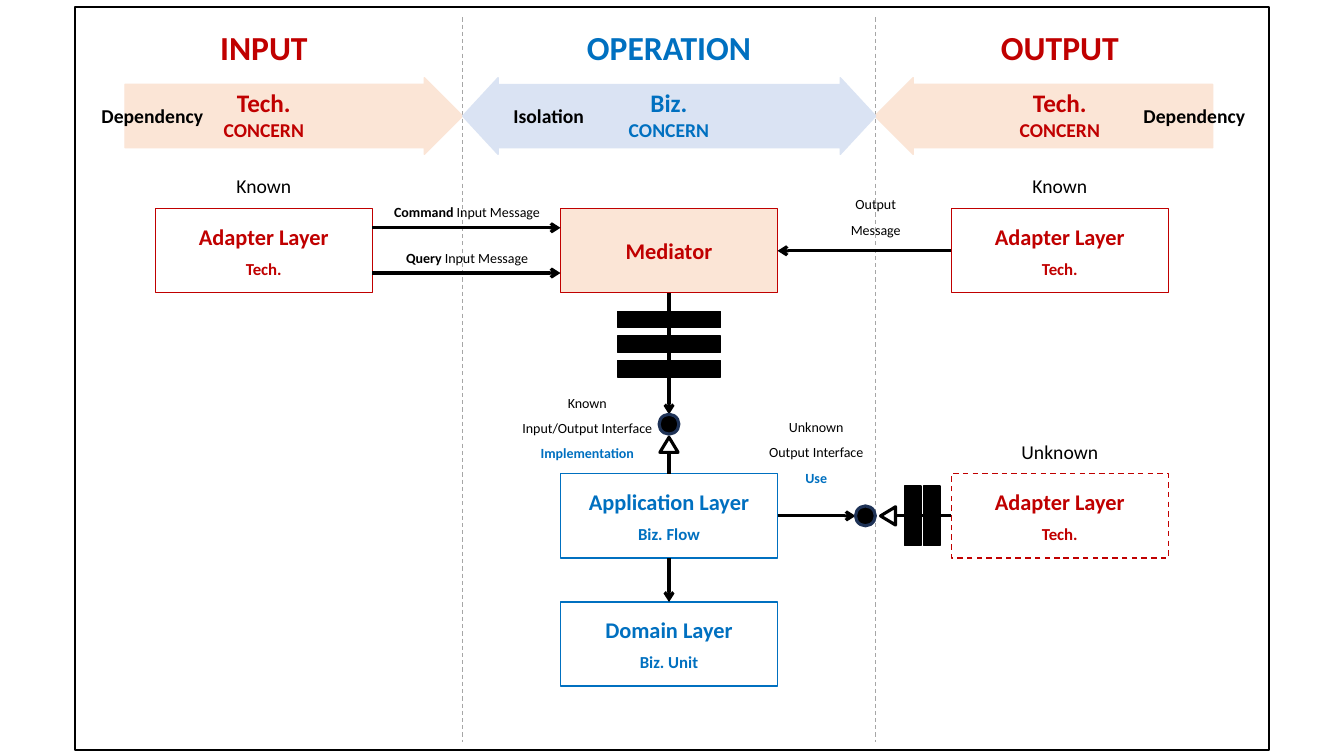
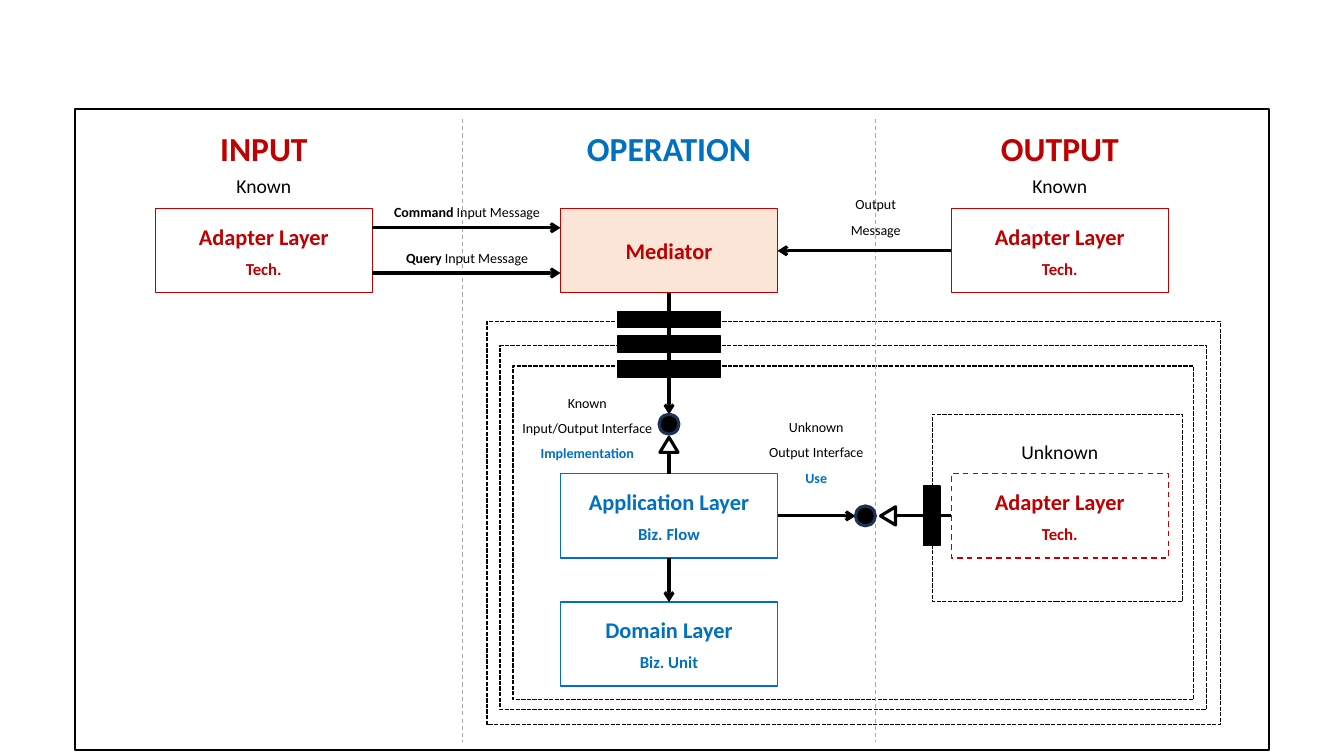
"""Build two slides of a layered input, operation and output design."""
from lxml.etree import SubElement
from pptx import Presentation
from pptx.dml.color import RGBColor
from pptx.enum.dml import MSO_LINE
from pptx.enum.shapes import MSO_CONNECTOR, MSO_SHAPE
from pptx.enum.text import MSO_ANCHOR, PP_ALIGN
from pptx.oxml.ns import qn
from pptx.util import Cm, Pt

RECT, OVAL, PEAK = MSO_SHAPE.RECTANGLE, MSO_SHAPE.OVAL, MSO_SHAPE.ISOSCELES_TRIANGLE
RIGHT, LEFT = MSO_SHAPE.RIGHT_ARROW, MSO_SHAPE.LEFT_ARROW
BOTH = MSO_SHAPE.LEFT_RIGHT_ARROW
STRAIGHT = MSO_CONNECTOR.STRAIGHT
DASH, DOTS = MSO_LINE.DASH, MSO_LINE.SQUARE_DOT
CENTER, MIDDLE = PP_ALIGN.CENTER, MSO_ANCHOR.MIDDLE

FONT = "Calibri"
RED, BLUE, BLACK, WHITE = "C00000", "0070C0", "000000", "FFFFFF"
GREY, NAVY, PEACH, PALE = "A6A6A6", "1E3256", "FBE5D6", "DAE3F3"
RULE = (GREY, 0.75, DASH, False)
WIRE = (BLACK, 2.25, None, False)
FLOW = (BLACK, 2.25, None, True)

WIDE, HIGH = 5.47, 2.12
COLS = (6.65, 16.86, 26.71)
EDGES = (11.66, 22.07)
ROWS = (5.26, 11.94, 15.17)
IN, MID, OUT = COLS
INEND, MIDLEFT = IN + WIDE / 2, MID - WIDE / 2
MIDEND, OUTLEFT = MID + WIDE / 2, OUT - WIDE / 2
TOPROW, FLOWROW = ROWS[0] + HIGH / 2, ROWS[1] + HIGH / 2
rgb = RGBColor.from_string


def draw(page, kind, x, y, w, h, line, fill=None, thick=1, dash=None):
    """Add a preset shape, with sizes in centimetres."""
    shape = page.shapes.add_shape(kind, Cm(x), Cm(y), Cm(w), Cm(h))
    shape.shadow.inherit = False
    shape.line.color.rgb = rgb(line)
    shape.line.width = Pt(thick)
    if dash:
        shape.line.dash_style = dash
    if fill:
        shape.fill.solid()
        shape.fill.fore_color.rgb = rgb(fill)
    else:
        shape.fill.background()
    return shape


def write(shape, rows, lead=0, pitch=1):
    """Fill a shape with centred rows of text, size, colour, bold and plain tail."""
    frame = shape.text_frame
    frame.word_wrap = False
    frame.text = "\n".join(row[0] for row in rows)
    for i, (para, row) in enumerate(zip(frame.paragraphs, rows)):
        _, size, hue, bold, *tail = row
        para.alignment = CENTER
        para.line_spacing = pitch
        if i and lead:
            para.space_before = Pt(lead)
        for text in tail:
            para.add_run().text = text
        for j, run in enumerate(para.runs):
            run.font.name = FONT
            run.font.size = Pt(size)
            run.font.bold = bold and j == 0
            run.font.color.rgb = rgb(hue)


adapter = [("Adapter Layer", 16, RED, True), ("Tech.", 12, RED, True)]
cells = [
    ("input", IN, ROWS[0], RED, None, None, adapter),
    ("output", OUT, ROWS[0], RED, None, None, adapter),
    ("unknown", OUT, ROWS[1], RED, None, DASH, adapter),
    ("broker", MID, ROWS[0], RED, PEACH, None, [("Mediator", 16, RED, True)]),
    ("app", MID, ROWS[1], BLUE, None, None,
     [("Application Layer", 16, BLUE, True), ("Biz. Flow", 12, BLUE, True)]),
    ("domain", MID, ROWS[2], BLUE, None, None,
     [("Domain Layer", 16, BLUE, True), ("Biz. Unit", 12, BLUE, True)]),
]
wires = [
    (INEND, 5.74, MIDLEFT, 5.74, FLOW, None, None),
    (INEND, 6.88, MIDLEFT, 6.88, FLOW, None, None),
    (OUTLEFT, TOPROW, MIDEND, TOPROW, FLOW, ("output", 1), ("broker", 3)),
    (MID, ROWS[0] + HIGH, MID, 10.44, FLOW, ("broker", 2), None),
    (MID, ROWS[1], MID, 11.4, WIRE, ("app", 0), None),
    (MID, ROWS[1] + HIGH, MID, ROWS[2], FLOW, ("app", 2), ("domain", 0)),
    (MIDEND, FLOWROW, 21.56, FLOWROW, FLOW, ("app", 3), None),
    (OUTLEFT, FLOWROW, 22.56, FLOWROW, WIRE, ("unknown", 1), None),
]
labels = [
    (IN, 4.27, 1.9, 0.86, 1, [("Known", 14, BLACK, False)]),
    (OUT, 4.27, 1.9, 0.86, 1, [("Known", 14, BLACK, False)]),
    (OUT, 10.95, 2.46, 0.86, 1, [("Unknown", 14, BLACK, False)]),
    (14.8, 9.6, 3.84, 2.11, 1.5,
     [("Known", 10, BLACK, False), ("Input/Output Interface", 10, BLACK, False),
      ("Implementation", 10, BLUE, True)]),
    (20.57, 10.21, 2.95, 2.11, 1.5,
     [("Unknown", 10, BLACK, False), ("Output Interface", 10, BLACK, False),
      ("Use", 10, BLUE, True)]),
    (EDGES[1], 4.6, 1.78, 1.47, 1.5,
     [("Output", 10, BLACK, False), ("Message", 10, BLACK, False)]),
    (11.77, 4.78, 4.24, 0.84, 1.5, [("Command", 10, BLACK, True, " Input Message")]),
    (11.77, 5.94, 3.63, 0.84, 1.5, [("Query", 10, BLACK, True, " Input Message")]),
]
heads = [("INPUT", RED), ("OPERATION", BLUE), ("OUTPUT", RED)]
arrows = [
    (RIGHT, 3.15, 8.51, PEACH, (0.827, 0.5)),
    (LEFT, 22.05, 8.51, PEACH, (0.827, 0.5)),
    (BOTH, EDGES[0], 10.41, PALE, (0.824, 0.463)),
]
concerns = [
    (x, 2.08, 2.57, 1.63, 1, [(word, 18, hue, True), ("CONCERN", 14, hue, True)])
    for x, word, hue in zip(COLS, ("Tech.", "Biz.", "Tech."), (RED, BLUE, RED))
] + [
    (x, 2.49, 3.1, 0.86, 1, [(word, 14, BLACK, True)])
    for x, word in ((3.84, "Dependency"), (13.83, "Isolation"), (30.1, "Dependency"))
]
zones = [
    (23.5, 10.44, 6.3, 4.72),
    (12.93, 9.22, 17.15, 8.41),
    (12.6, 8.71, 17.81, 9.17),
    (12.27, 8.1, 18.49, 10.16),
]
pages = [
    (0.18, [], arrows, concerns, (22.8, 23.28)),
    (2.74, zones, [], [], (23.28,)),
]

deck = Presentation()
deck.slide_width, deck.slide_height = Cm(33.87), Cm(19.05)

for top, areas, bands, extra, gates in pages:
    page = deck.slides.add_slide(deck.slide_layouts[6])
    draw(page, RECT, 1.88, top, 30.1, 18.9 - top, BLACK, thick=1.5)
    for area in areas:
        draw(page, RECT, *area, BLACK, dash=DOTS)

    nodes = {}
    for name, x, y, hue, fill, dash, rows in cells:
        cell = draw(page, RECT, x - WIDE / 2, y, WIDE, HIGH, hue, fill, dash=dash)
        cell.text_frame.vertical_anchor = MIDDLE
        write(cell, rows, lead=6)
        nodes[name] = cell

    rules = [(x, top + 0.26, x, 18.69, RULE, None, None) for x in EDGES]
    for x1, y1, x2, y2, style, start, goal in rules + wires:
        hue, thick, dash, head = style
        wire = page.shapes.add_connector(STRAIGHT, Cm(x1), Cm(y1), Cm(x2), Cm(y2))
        if start:
            wire.begin_connect(nodes[start[0]], start[1])
        if goal:
            wire.end_connect(nodes[goal[0]], goal[1])
        wire.line.color.rgb = rgb(hue)
        wire.line.width = Pt(thick)
        if dash:
            wire.line.dash_style = dash
        props = wire._element.spPr
        if head:
            SubElement(props.find(qn("a:ln")), qn("a:tailEnd"), type="arrow")
        SubElement(props, qn("a:effectLst"))

    for x, y in ((16.61, 10.44), (21.56, 12.75)):
        draw(page, OVAL, x, y, 0.5, 0.5, NAVY, BLACK, 2.25)
    for x, y, turn in ((16.63, 11.02, 0), (22.15, 12.81, 270)):
        draw(page, PEAK, x, y, 0.46, 0.38, BLACK, WHITE, 2.25).rotation = turn
    for i in range(3):
        draw(page, RECT, 15.57, 7.85 + 0.62 * i, 2.59, 0.41, BLACK, BLACK)
    for x in gates:
        draw(page, RECT, x, 12.25, 0.41, 1.5, BLACK, BLACK)

    for kind, x, w, hue, shares in bands:
        band = draw(page, kind, x, 1.96, w, 1.93, hue, hue)
        for i, share in enumerate(shares):
            band.adjustments[i] = share

    titles = [(x, top + 0.37, 4.67, 1.27, 1, [(word, 24, hue, True)])
              for x, (word, hue) in zip(COLS, heads)]
    for x, y, w, h, pitch, rows in titles + extra + labels:
        label = page.shapes.add_textbox(Cm(x - w / 2), Cm(y), Cm(w), Cm(h))
        write(label, rows, pitch=pitch)

deck.save("out.pptx")
